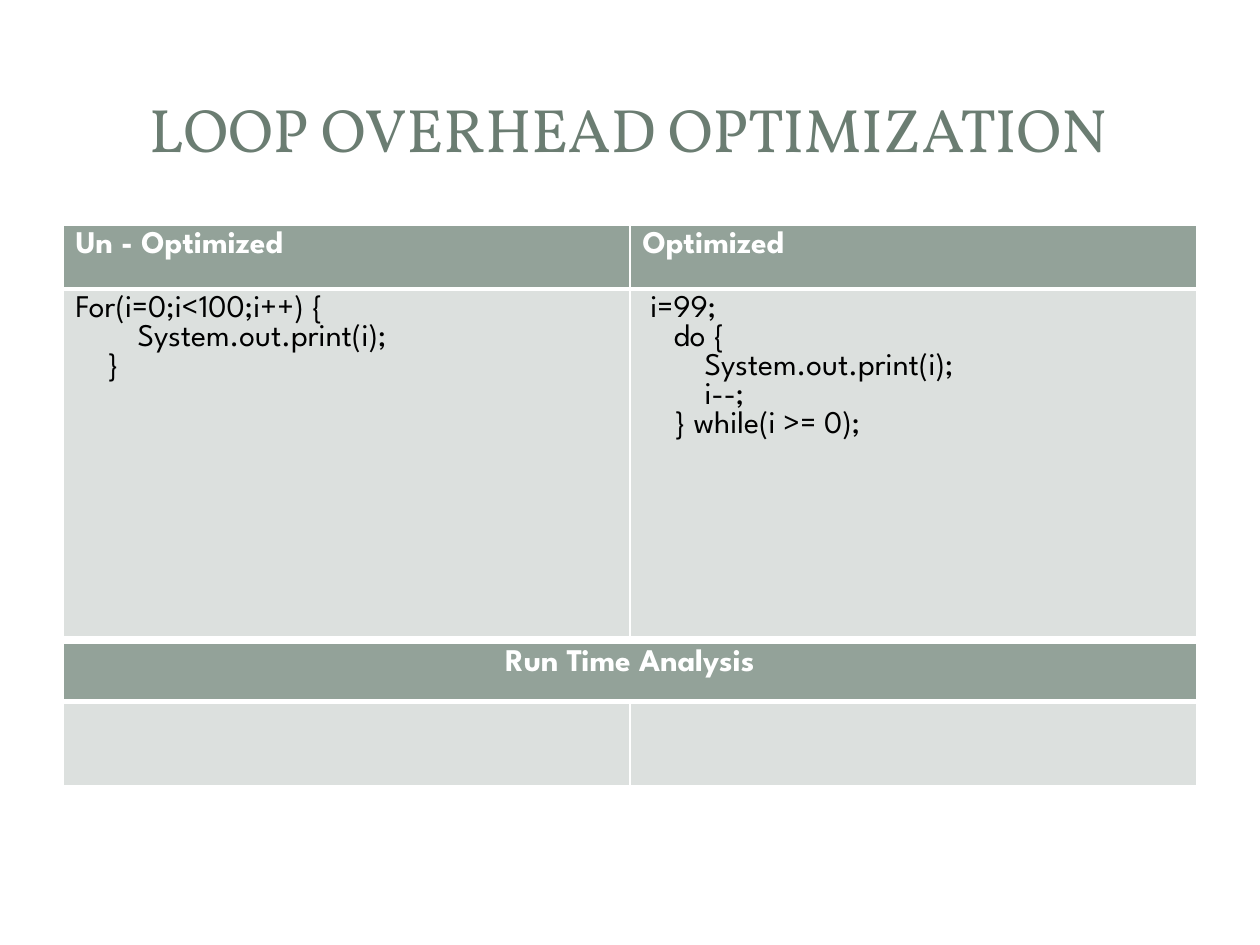
import lxml.etree
import pptx
import pptx.dml.color
import pptx.enum.shapes
import pptx.enum.text
import pptx.oxml.ns
import pptx.util

Pt = pptx.util.Pt
ALIGN = pptx.enum.text.PP_ALIGN
SHAPE = pptx.enum.shapes.MSO_SHAPE
COLORS = {"title": "6B7D72", "header": "93A299", "body": "DCE0DE",
          "white": "FFFFFF", "black": "000000"}
TITLE_FONT = "Vollkorn"
TABLE_FONT = "League Spartan"
LEFT, COLUMN_WIDTH = 36, 324
INDENT = 4.43

UNOPTIMIZED = [(0, "For(i=0;i<100;i++) {"), (8, "System.out.print(i);"), (4, "}")]
OPTIMIZED = [(1, "i=99;"), (4, "do {"), (8, "System.out.print(i);"),
             (8, "i--;"), (4, "} while(i >= 0);")]


def rgb(name):
    """Return the named colour."""
    return pptx.dml.color.RGBColor.from_string(COLORS[name])


def style_font(font, name, size, color, bold=False):
    """Set the typeface, size, colour and weight of a font."""
    font.name = name
    font.size = Pt(size)
    font.bold = bold
    font.color.rgb = rgb(color)


def add_panel(slide, kind, left, top, width, height, opacity=100):
    """Add a white backing panel without outline and return it."""
    shape = slide.shapes.add_shape(kind, Pt(left), Pt(top), Pt(width), Pt(height))
    shape.shadow.inherit = False
    shape.line.fill.background()
    shape.fill.solid()
    shape.fill.fore_color.rgb = rgb("white")
    if opacity < 100:
        color = shape._element.spPr.find(".//" + pptx.oxml.ns.qn("a:srgbClr"))
        lxml.etree.SubElement(color, pptx.oxml.ns.qn("a:alpha"), val=str(opacity * 1000))
    return shape


def add_title(slide, text):
    """Place and format the slide title in front of the panels."""
    shape = slide.shapes.title
    slide.shapes._spTree.append(shape._element)
    shape.left, shape.top, shape.width, shape.height = Pt(34), Pt(32.4), Pt(650), Pt(82)
    frame = shape.text_frame
    frame.text = text
    frame.auto_size = pptx.enum.text.MSO_AUTO_SIZE.NONE
    frame.vertical_anchor = pptx.enum.text.MSO_ANCHOR.MIDDLE
    paragraph = frame.paragraphs[0]
    paragraph.alignment = ALIGN.CENTER
    style_font(paragraph.runs[0].font, TITLE_FONT, 35, "title")


def set_borders(cell, bottom):
    """Draw white borders around a cell with a given bottom width."""
    properties = cell._tc.get_or_add_tcPr()
    for position, side in enumerate("LRTB"):
        width = Pt(bottom if side == "B" else 1)
        line = lxml.etree.Element(pptx.oxml.ns.qn("a:ln" + side), w=str(width))
        fill = lxml.etree.SubElement(line, pptx.oxml.ns.qn("a:solidFill"))
        lxml.etree.SubElement(fill, pptx.oxml.ns.qn("a:srgbClr"), val=COLORS["white"])
        properties.insert(position, line)


def fill_cell(cell, lines, header, alignment):
    """Write indented lines into a cell and format it."""
    cell.fill.solid()
    cell.fill.fore_color.rgb = rgb("header" if header else "body")
    set_borders(cell, 3 if header else 1)
    cell.text_frame.text = "\n".join(text for _, text in lines)
    for paragraph, (level, _) in zip(cell.text_frame.paragraphs, lines):
        paragraph.alignment = alignment
        paragraph.font.size = Pt(18)
        if level:
            paragraph._p.get_or_add_pPr().set("marL", str(Pt(level * INDENT)))
        for run in paragraph.runs:
            style_font(run.font, TABLE_FONT, 18, "white" if header else "black", header)


def add_table(slide, top, heights, rows, alignment=ALIGN.LEFT):
    """Add a two-column table with one header row."""
    shape = slide.shapes.add_table(len(rows), 2, Pt(LEFT), Pt(top),
                                   Pt(2 * COLUMN_WIDTH), Pt(sum(heights)))
    table = shape.table
    table.horz_banding = False
    for column in table.columns:
        column.width = Pt(COLUMN_WIDTH)
    for index, (height, contents) in enumerate(zip(heights, rows)):
        table.rows[index].height = Pt(height)
        for column, lines in enumerate(contents):
            fill_cell(table.cell(index, column), lines, index == 0, alignment)
    return table


def main():
    """Build and save the slide."""
    presentation = pptx.Presentation()
    presentation.slide_width, presentation.slide_height = Pt(720), Pt(540)
    slide = presentation.slides.add_slide(presentation.slide_layouts[5])
    frame = add_panel(slide, SHAPE.ROUNDED_RECTANGLE, 7.2, 7.9, 705.6, 524.9)
    frame.adjustments[0] = 0.017
    add_panel(slide, SHAPE.RECTANGLE, 21.6, 21.6, 676.8, 104.4, 83)
    add_panel(slide, SHAPE.RECTANGLE, 29.5, 29.5, 660.3, 87.8)
    add_title(slide, "LOOP OVERHEAD OPTIMIZATION")
    add_table(slide, 128.6, [36.6, 198.8],
              [[[(0, "Un - Optimized")], [(0, "Optimized")]], [UNOPTIMIZED, OPTIMIZED]])
    empty = [(0, "")]
    analysis = add_table(slide, 367.6, [33.3, 48.4],
                         [[[(0, "Run Time Analysis")], empty], [empty, empty]], ALIGN.CENTER)
    analysis.cell(0, 0).merge(analysis.cell(0, 1))
    presentation.save("out.pptx")


main()
